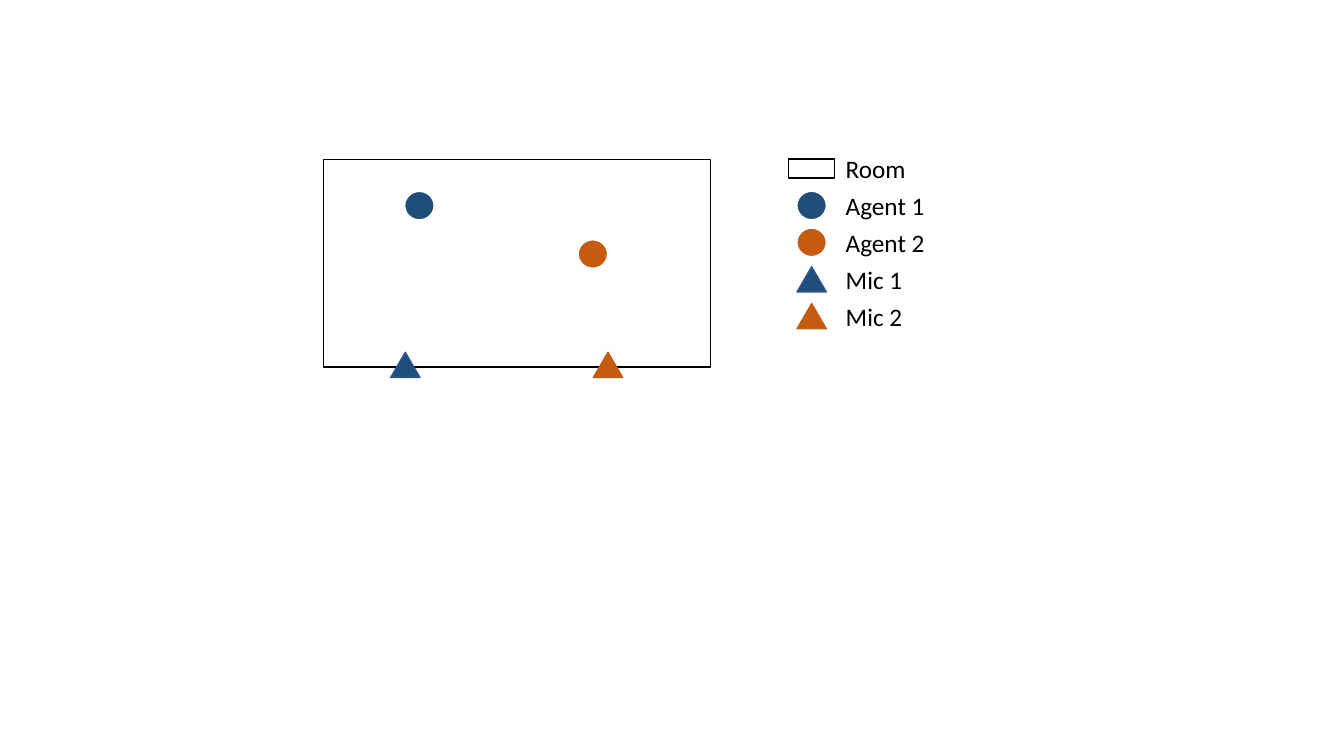
import pptx
import pptx.util
import pptx.dml.color
import pptx.enum.shapes
import pptx.enum.text

Inches = pptx.util.Inches
Shapes = pptx.enum.shapes.MSO_SHAPE

COLORS = {
    "white": "FFFFFF",
    "black": "000000",
    "blue": "1F4E79",
    "blue_edge": "325491",
    "orange": "C55A11",
}

MARKERS = {
    "Room": (Shapes.RECTANGLE, 0.46, 0.19, "white", "black", 1),
    "Agent 1": (Shapes.OVAL, 0.3, 0.29, "blue", "white", 1.5),
    "Agent 2": (Shapes.OVAL, 0.3, 0.29, "orange", "white", 1.5),
    "Mic 1": (Shapes.ISOSCELES_TRIANGLE, 0.29, 0.25, "blue", "blue_edge", 1),
    "Mic 2": (Shapes.ISOSCELES_TRIANGLE, 0.29, 0.25, "orange", "orange", 1),
}

ROOM_POSITIONS = {
    "Agent 1": (0.95, 0.46),
    "Agent 2": (2.67, 0.94),
    "Mic 1": (0.81, 2.04),
    "Mic 2": (2.82, 2.04),
}


def color(name):
    return pptx.dml.color.RGBColor.from_string(COLORS[name])


def add_figure(slide, kind, left, top, width, height, fill, line, weight):
    shape = slide.shapes.add_shape(
        kind, Inches(left), Inches(top), Inches(width), Inches(height))
    shape.shadow.inherit = False
    shape.fill.solid()
    shape.fill.fore_color.rgb = color(fill)
    shape.line.color.rgb = color(line)
    shape.line.width = pptx.util.Pt(weight)


def add_marker(slide, name, center_x, center_y):
    kind, width, height, fill, line, weight = MARKERS[name]
    add_figure(slide, kind, center_x - width / 2, center_y - height / 2,
               width, height, fill, line, weight)


def add_label(slide, text, left, top, width, height):
    label = slide.shapes.add_textbox(
        Inches(left), Inches(top), Inches(width), Inches(height))
    frame = label.text_frame
    frame.word_wrap = True
    frame.auto_size = pptx.enum.text.MSO_AUTO_SIZE.SHAPE_TO_FIT_TEXT
    paragraph = frame.paragraphs[0]
    paragraph.text = text
    paragraph.font.name = "Calibri"
    paragraph.font.size = pptx.util.Pt(18)
    paragraph.font.color.rgb = color("black")


def draw_room(slide, left, top, width, height):
    add_figure(slide, Shapes.RECTANGLE, left, top, width, height,
               "white", "black", 1)
    for name, (x, y) in ROOM_POSITIONS.items():
        add_marker(slide, name, left + x, top + y)


def draw_legend(slide, left, top, width, height):
    row_height = height / len(MARKERS)
    label_offset, label_height = 0.47, 0.4
    for row, name in enumerate(MARKERS):
        center_y = top + (row + 0.5) * row_height
        add_marker(slide, name, left + 0.23, center_y)
        add_label(slide, name, left + label_offset,
                  center_y - label_height / 2,
                  width - label_offset, label_height)


def main():
    presentation = pptx.Presentation()
    presentation.slide_width = Inches(13.33)
    presentation.slide_height = Inches(7.5)
    slide = presentation.slides.add_slide(presentation.slide_layouts[6])
    draw_room(slide, 3.21, 1.58, 3.84, 2.06)
    draw_legend(slide, 7.82, 1.49, 1.54, 1.83)
    presentation.save("out.pptx")


if __name__ == "__main__":
    main()
